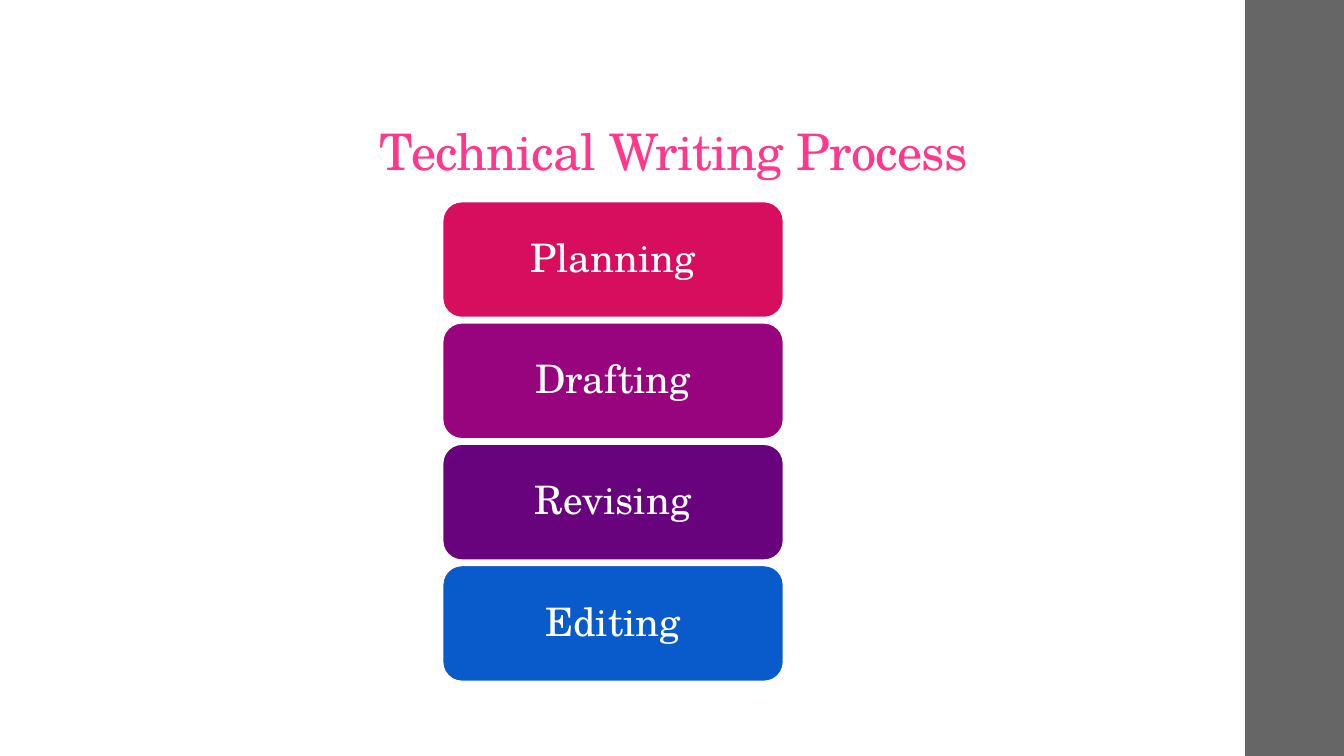
"""Build the Technical Writing Process slide."""
from dataclasses import dataclass

from pptx import Presentation
from pptx.dml.color import RGBColor
from pptx.enum.shapes import MSO_SHAPE
from pptx.enum.text import MSO_ANCHOR, MSO_AUTO_SIZE, PP_ALIGN
from pptx.util import Inches, Pt

RECT, ROUNDED = MSO_SHAPE.RECTANGLE, MSO_SHAPE.ROUNDED_RECTANGLE
MIDDLE, BOTTOM = MSO_ANCHOR.MIDDLE, MSO_ANCHOR.BOTTOM
CENTER, NO_FIT = PP_ALIGN.CENTER, MSO_AUTO_SIZE.NONE
TITLE_ONLY = 5


@dataclass(frozen=True)
class Theme:
    font: str = "TeX Gyre Schola"
    title: str = "FF388C"
    white: str = "FFFFFF"
    sidebar: str = "666666"
    title_size: float = 36
    step_size: float = 28
    outline: float = 1.1


@dataclass(frozen=True)
class Box:
    left: float
    top: float
    width: float
    height: float

    def lengths(self) -> list:
        return [Inches(v) for v in (self.left, self.top, self.width, self.height)]


@dataclass(frozen=True)
class Step:
    label: str
    color: str


THEME = Theme()
SIDEBAR = Box(12.35, 0, 1, 7.5)
TITLE = Box(1.38, 0.29, 10.6, 1.56)
FIRST_STEP = Box(4.39, 2, 3.38, 1.15)
LAST_TOP = 5.61
STEPS = [
    Step("Planning", "D70D5E"),
    Step("Drafting", "98037E"),
    Step("Revising", "68027D"),
    Step("Editing", "095ACA"),
]


def set_attributes(target, values: dict) -> None:
    for name, value in values.items():
        setattr(target, name, value)


def write(sp, text: str, size: float, color: str, frame: dict):
    tf = sp.text_frame
    set_attributes(tf, {"word_wrap": True, "auto_size": NO_FIT, **frame})
    p = tf.paragraphs[0]
    set_attributes(p, {"alignment": CENTER, "line_spacing": 0.9})
    r = p.add_run()
    r.text = text
    set_attributes(r.font, {"name": THEME.font, "size": Pt(size), "bold": False})
    r.font.color.rgb = RGBColor.from_string(color)
    return r


def add_block(s, kind, box: Box, color: str):
    sp = s.shapes.add_shape(kind, *box.lengths())
    sp.shadow.inherit = False
    sp.fill.solid()
    sp.fill.fore_color.rgb = RGBColor.from_string(color)
    sp.line.fill.background()
    return sp


def add_title(s, text: str) -> None:
    sp = s.shapes.title
    set_attributes(sp, dict(zip(("left", "top", "width", "height"), TITLE.lengths())))
    frame = {
        "vertical_anchor": BOTTOM,
        "margin_left": Inches(0.1),
        "margin_right": Inches(0.1),
        "margin_top": Inches(0.03),
        "margin_bottom": Inches(0.05),
    }
    r = write(sp, text, THEME.title_size, THEME.title, frame)
    r._r.get_or_add_rPr().set("spc", "-50")


def add_step(s, step: Step, top: float) -> None:
    box = Box(FIRST_STEP.left, top, FIRST_STEP.width, FIRST_STEP.height)
    sp = add_block(s, ROUNDED, box, step.color)
    sp.line.color.rgb = RGBColor.from_string(THEME.white)
    sp.line.width = Pt(THEME.outline)
    frame = {
        "vertical_anchor": MIDDLE,
        "margin_left": Inches(0.18),
        "margin_right": Inches(0.18),
        "margin_top": Inches(0.12),
        "margin_bottom": Inches(0.12),
    }
    write(sp, step.label, THEME.step_size, THEME.white, frame)


def main() -> None:
    prs = Presentation()
    prs.slide_width, prs.slide_height = Inches(13.33), Inches(7.5)
    s = prs.slides.add_slide(prs.slide_layouts[TITLE_ONLY])
    add_block(s, RECT, SIDEBAR, THEME.sidebar)
    add_title(s, "Technical Writing Process")
    pitch = (LAST_TOP - FIRST_STEP.top) / (len(STEPS) - 1)
    for i, step in enumerate(STEPS):
        add_step(s, step, FIRST_STEP.top + i * pitch)
    prs.save("out.pptx")


if __name__ == "__main__":
    main()
